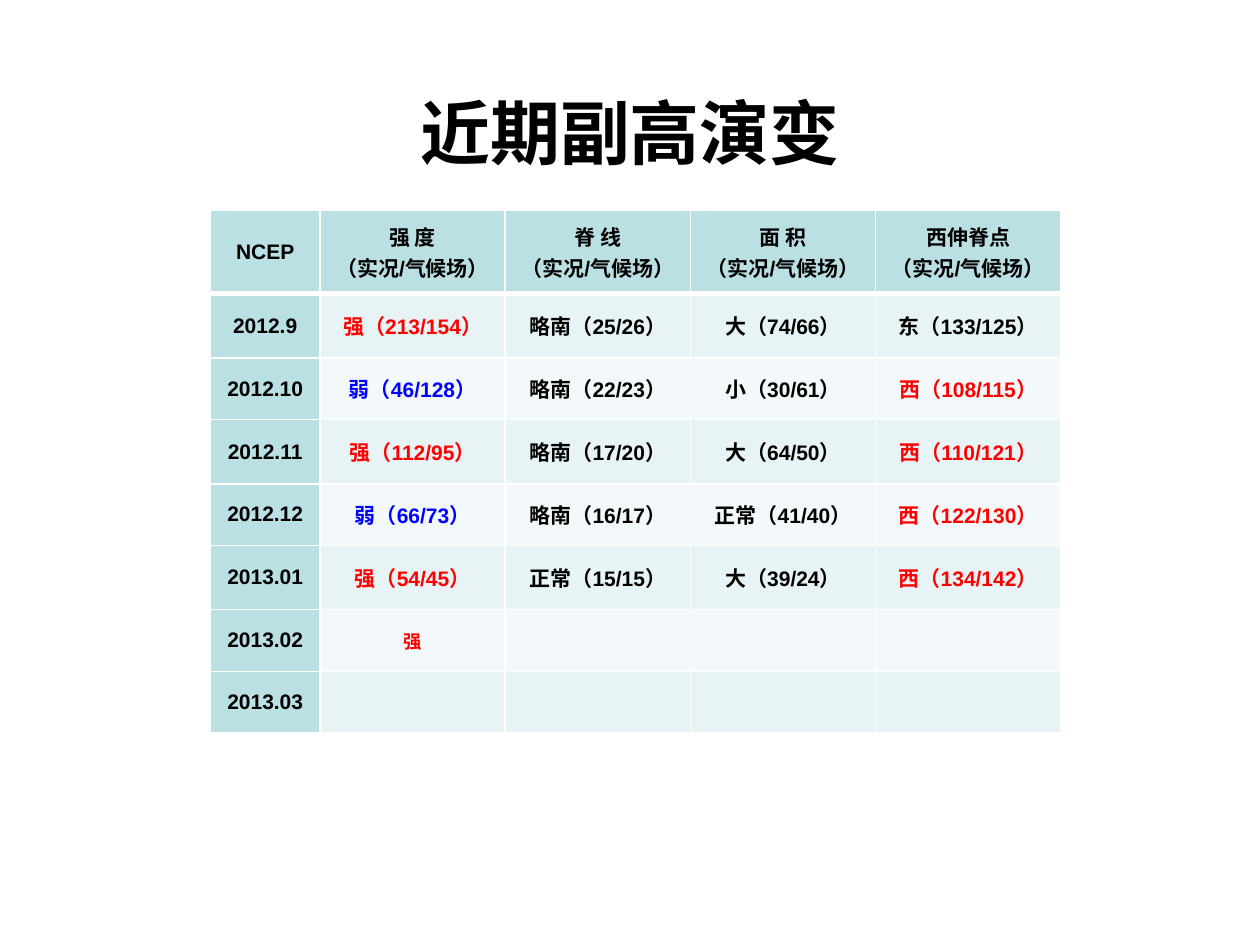
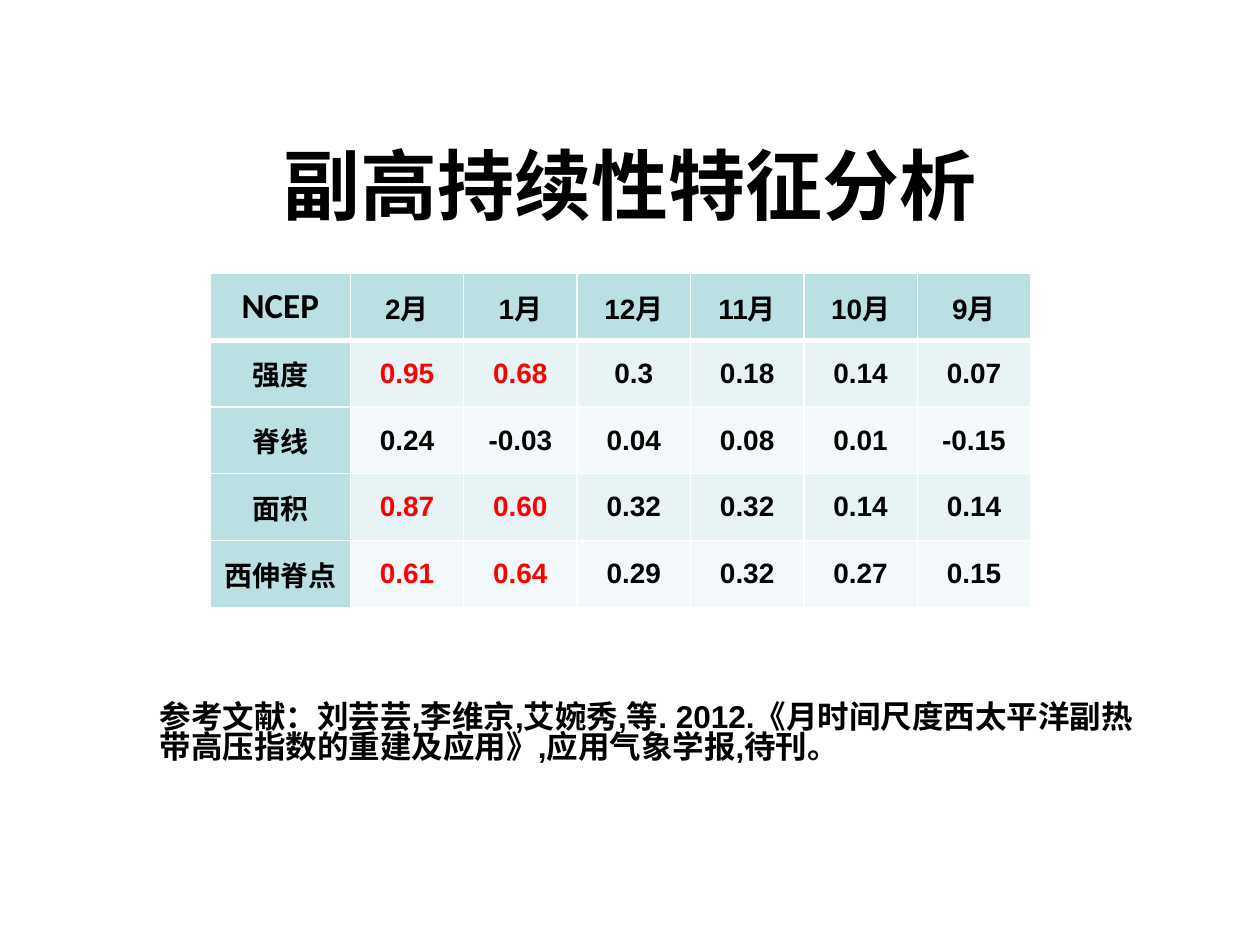
import pptx
import pptx.dml.color
import pptx.enum.text
import pptx.oxml
import pptx.oxml.ns
import pptx.util
from pptx.dml.color import RGBColor
from pptx.util import Inches, Pt

BLACK = RGBColor(0x00, 0x00, 0x00)
WHITE = RGBColor(0xFF, 0xFF, 0xFF)
RED = RGBColor(0xFF, 0x00, 0x00)
BLUE = RGBColor(0x00, 0x00, 0xFF)
HEADING_FILL = RGBColor(0xBB, 0xE0, 0xE3)
BAND_FILLS = (RGBColor(0xF3, 0xF9, 0xFA), RGBColor(0xE7, 0xF3, 0xF4))

CENTER = pptx.enum.text.PP_ALIGN.CENTER
MIDDLE = pptx.enum.text.MSO_ANCHOR.MIDDLE
TABLE_LEFT = 1.67

COMPARISON = "（实况/气候场）"
EVOLUTION = [
    ["NCEP"] + [f"{name}\n{COMPARISON}" for name in ("强 度", "脊 线", "面 积", "西伸脊点")],
    ["2012.9", "强（213/154）", "略南（25/26）", "大（74/66）", "东（133/125）"],
    ["2012.10", "弱（46/128）", "略南（22/23）", "小（30/61）", "西（108/115）"],
    ["2012.11", "强（112/95）", "略南（17/20）", "大（64/50）", "西（110/121）"],
    ["2012.12", "弱（66/73）", "略南（16/17）", "正常（41/40）", "西（122/130）"],
    ["2013.01", "强（54/45）", "正常（15/15）", "大（39/24）", "西（134/142）"],
    ["2013.02", "强", "", "", ""],
    ["2013.03", "", "", "", ""],
]
PERSISTENCE = [
    ["NCEP", "2月", "1月", "12月", "11月", "10月", "9月"],
    ["强度", "0.95", "0.68", "0.3", "0.18", "0.14", "0.07"],
    ["脊线", "0.24", "-0.03", "0.04", "0.08", "0.01", "-0.15"],
    ["面积", "0.87", "0.60", "0.32", "0.32", "0.14", "0.14"],
    ["西伸脊点", "0.61", "0.64", "0.29", "0.32", "0.27", "0.15"],
]
REFERENCE = ("参考文献：刘芸芸,李维京,艾婉秀,等. 2012."
             "《月时间尺度西太平洋副热带高压指数的重建及应用》,应用气象学报,待刊。")


def format_runs(tf, size, color=BLACK, font="Arial"):
    for p in tf.paragraphs:
        for r in p.runs:
            r.font.name = font
            r.font.size = Pt(size)
            r.font.bold = True
            r.font.color.rgb = color


def add_text(s, text, left, top, width, height, size):
    tf = s.shapes.add_textbox(Inches(left), Inches(top), Inches(width), Inches(height)).text_frame
    tf.word_wrap = True
    tf.text = text
    format_runs(tf, size)
    return tf


def add_title(s, text, top, size):
    tf = add_text(s, text, 0.5, top, 9, 1.25, size)
    tf.vertical_anchor = MIDDLE
    tf.paragraphs[0].alignment = CENTER


def set_borders(cell, top, bottom):
    """Draw white cell borders; top and bottom are widths in points."""
    tc_pr = cell._tc.get_or_add_tcPr()
    widths = {"lnL": 1, "lnR": 1, "lnT": top, "lnB": bottom}
    for i, (tag, width) in enumerate(widths.items()):
        tc_pr.insert(i, pptx.oxml.parse_xml(
            f'<a:{tag} {pptx.oxml.ns.nsdecls("a")} w="{Pt(width)}"><a:solidFill>'
            f'<a:srgbClr val="{WHITE}"/></a:solidFill></a:{tag}>'))


def add_table(s, rows, top, widths, heights, size, value_color):
    """Add a banded table; value_color gives the text colour of a body value."""
    table = s.shapes.add_table(len(rows), len(widths), Inches(TABLE_LEFT), Inches(top),
                               Inches(sum(widths)), Inches(sum(heights))).table
    for column, width in zip(table.columns, widths):
        column.width = Inches(width)
    for i, (row, height) in enumerate(zip(rows, heights)):
        table.rows[i].height = Inches(height)
        for j, text in enumerate(row):
            cell = table.cell(i, j)
            heading = i == 0 or j == 0
            cell.fill.solid()
            cell.fill.fore_color.rgb = HEADING_FILL if heading else BAND_FILLS[i % 2]
            set_borders(cell, 3 if i == 1 else 1, 3 if i == 0 else 1)
            cell.margin_left = cell.margin_right = Inches(0.07)
            cell.margin_top = cell.margin_bottom = 0
            cell.vertical_anchor = MIDDLE
            cell.text_frame.text = text
            for p in cell.text_frame.paragraphs:
                p.alignment = CENTER
            if text:
                format_runs(cell.text_frame, size, BLACK if heading else value_color(text))
    return table


def anomaly_color(text):
    return {"强": RED, "西": RED, "弱": BLUE}.get(text[0], BLACK)


def correlation_color(text):
    return RED if float(text) >= 0.6 else BLACK


def add_evolution_slide(prs):
    s = prs.slides.add_slide(prs.slide_layouts[6])
    add_title(s, "近期副高演变", 0.42, 40)
    table = add_table(s, EVOLUTION, 1.67, [0.87] + [1.47] * 4,
                      [0.66] + [0.51, 0.49] * 3 + [0.49], 12, anomaly_color)
    format_runs(table.cell(6, 1).text_frame, 10.5, RED)


def add_persistence_slide(prs):
    s = prs.slides.add_slide(prs.slide_layouts[6])
    add_title(s, "副高持续性特征分析", 0.83, 44)
    table = add_table(s, PERSISTENCE, 2.17, [1.11] + [0.9] * 6, [0.53] * 5, 16,
                      correlation_color)
    format_runs(table.cell(0, 0).text_frame, 20, font="Calibri")
    tf = add_text(s, REFERENCE, 1.17, 5.54, 8, 0.71, 18)
    tf.paragraphs[0].line_spacing = 0.8


def main():
    prs = pptx.Presentation()
    prs.slide_width = Inches(10)
    prs.slide_height = Inches(7.5)
    add_evolution_slide(prs)
    add_persistence_slide(prs)
    prs.save("out.pptx")


if __name__ == "__main__":
    main()
